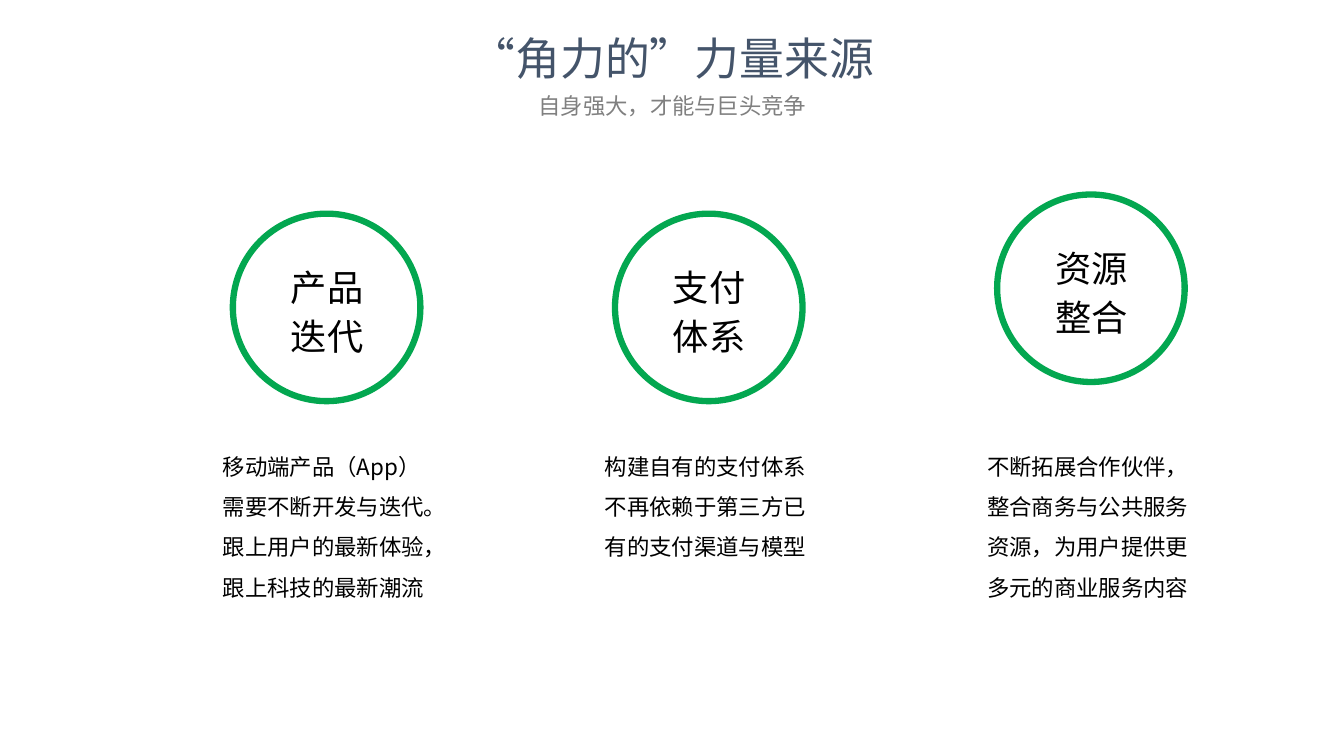
from lxml.etree import SubElement as Sub
from pptx import Presentation
from pptx.dml.color import RGBColor as RGB
from pptx.enum.lang import MSO_LANGUAGE_ID as Lang
from pptx.enum.shapes import MSO_SHAPE as Shape
from pptx.enum.text import MSO_ANCHOR as Anchor, PP_ALIGN as Align
from pptx.oxml.ns import qn
from pptx.util import Pt

FONT = "Noto Sans CJK SC"
GREEN, BLACK, SLATE, GRAY = "03A750", "000000", "44546A", "808080"
PX = 9144

TITLE = "“角力的”力量来源"
SUB = "自身强大，才能与巨头竞争"
ITEMS = [
    (["产品", "迭代"], 212,
     "移动端产品（App）需要不断开发与迭代。跟上用户的最新体验，跟上科技的最新潮流"),
    (["支付", "体系"], 212,
     "构建自有的支付体系不再依赖于第三方已有的支付渠道与模型"),
    (["资源", "整合"], 193,
     "不断拓展合作伙伴，整合商务与公共服务资源，为用户提供更多元的商业服务内容"),
]
LEFT, STEP, BODY_TOP = 221, 379, 436
BODY_W, RING = 205, 186
LABEL_W, LABEL_H = 135, 88


def color(code):
    return RGB.from_string(code)


def emu(*nums):
    return [n * PX for n in nums]


def write(box, lines, size, lead, code, align=Align.CENTER, anchor=Anchor.MIDDLE):
    frame = box.text_frame
    frame.word_wrap = True
    frame.vertical_anchor = anchor
    frame.margin_left = frame.margin_right = 0
    frame.margin_top = frame.margin_bottom = 0
    for i, line in enumerate(lines):
        para = frame.add_paragraph() if i else frame.paragraphs[0]
        para.alignment = align
        para.line_spacing = Pt(lead)
        para.space_before = Pt(0)
        run = para.add_run()
        run.text = line
        font = run.font
        font.size = Pt(size)
        font.name = FONT
        font.language_id = Lang.SIMPLIFIED_CHINESE
        font.color.rgb = color(code)
        Sub(run._r.get_or_add_rPr(), qn("a:ea")).set("typeface", FONT)


deck = Presentation()
deck.slide_width, deck.slide_height = emu(1333, 750)
slide = deck.slides.add_slide(deck.slide_layouts[5])
shapes = slide.shapes

head = shapes.title
head.left, head.top, head.width, head.height = emu(131, 29, 1072, 56)
write(head, [TITLE], 32, 39, SLATE)
write(shapes.add_textbox(*emu(131, 88, 1072, 34)), [SUB], 16, 19.5, GRAY)

for i, (label, top, body) in enumerate(ITEMS):
    left = LEFT + i * STEP
    mid = left + 10 + RING // 2
    ring = shapes.add_shape(Shape.OVAL, *emu(mid - RING // 2, top, RING, RING))
    ring.shadow.inherit = False
    ring.fill.background()
    ring.line.color.rgb = color(GREEN)
    ring.line.width = Pt(4.5)
    area = emu(mid - LABEL_W // 2, top + 50, LABEL_W, LABEL_H)
    write(shapes.add_textbox(*area), label, 25.9, 35, BLACK)
    area = emu(left, BODY_TOP, BODY_W, RING)
    write(shapes.add_textbox(*area), [body], 16, 28.8, BLACK, Align.LEFT, Anchor.TOP)

deck.save("out.pptx")
